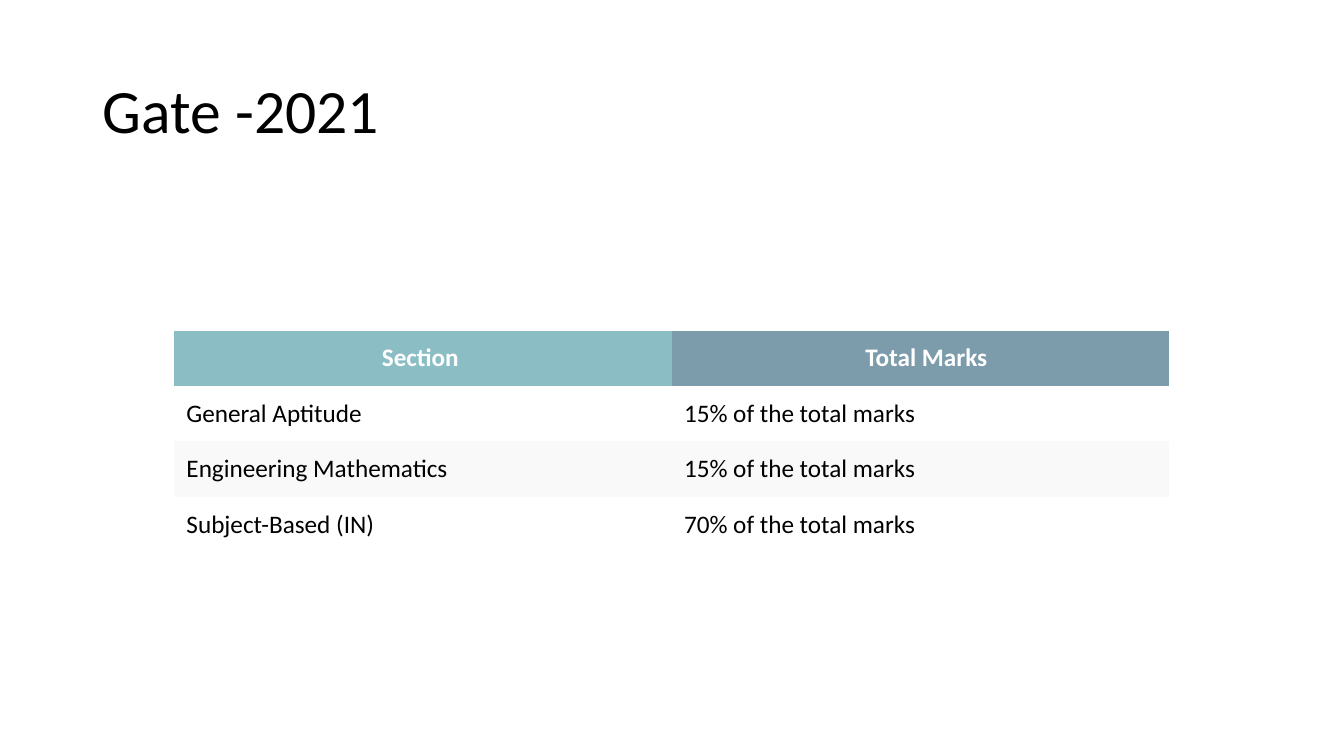
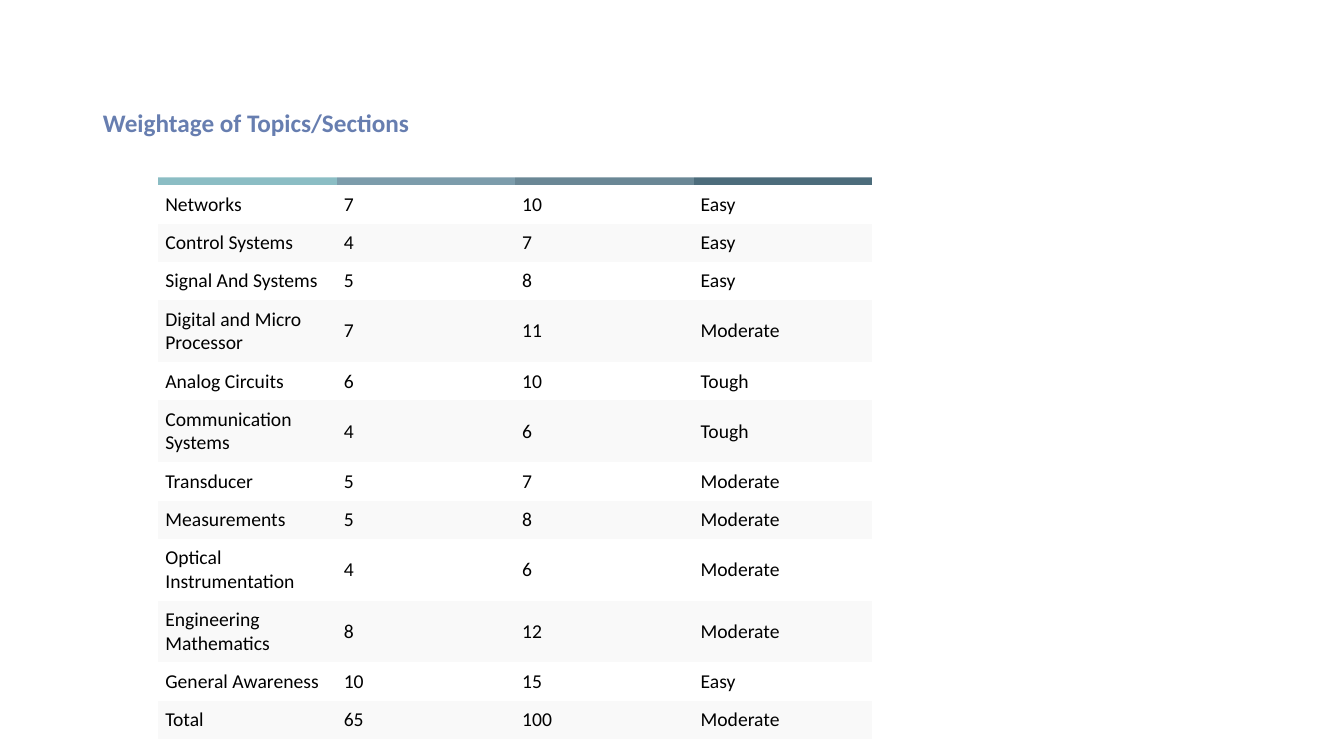
from pptx import Presentation
from pptx.dml.color import RGBColor
from pptx.enum.text import MSO_ANCHOR, MSO_AUTO_SIZE, PP_ALIGN
from pptx.oxml.ns import qn
from pptx.util import Inches, Pt

# Shared style
FONT = "Calibri"
WHITE, BLACK, BAND, HEADING = "FFFFFF", "000000", "F9F9F9", "677EB0"
HEADER_FILLS = ["8BBDC4", "7C9CAB", "6A8795", "4C6C7B"]
PLAIN_TABLE_STYLE = "{2D5ABB26-0587-4C30-8999-92F81FD0307C}"
TITLE_LEFT = 0.92

# Content
SECTION_MARKS = [
    ("Section\u00a0", "\u00a0 Total Marks"),
    ("General Aptitude", "15% of the total marks"),
    ("Engineering Mathematics", "15% of the total marks"),
    ("Subject-Based (IN)", "70% of the total marks"),
]
TOPIC_WEIGHTS = [
    ("",) * 4,  # colour strip without labels
    ("Networks", "7", "10", "Easy"),
    ("Control Systems", "4", "7", "Easy"),
    ("Signal And Systems", "5", "8", "Easy"),
    ("Digital and Micro Processor", "7", "11", "Moderate"),
    ("Analog Circuits", "6", "10", "Tough"),
    ("Communication Systems", "4", "6", "Tough"),
    ("Transducer", "5", "7", "Moderate"),
    ("Measurements", "5", "8", "Moderate"),
    ("Optical Instrumentation", "4", "6", "Moderate"),
    ("Engineering Mathematics", "8", "12", "Moderate"),
    ("General Awareness", "10", "15", "Easy"),
    ("Total", "65", "100", "Moderate"),
]


def rgb(color):
    return RGBColor.from_string(color)


def fill_with(target, color):
    target.fill.solid()
    target.fill.fore_color.rgb = rgb(color)


def format_text(paragraph, size, color, bold=False, align=PP_ALIGN.LEFT):
    paragraph.alignment = align
    for run in paragraph.runs:
        run.font.name = FONT
        run.font.size = Pt(size)
        run.font.bold = bold
        run.font.color.rgb = rgb(color)


def place_title(slide, box, text, size, color, bold=False, spacing=1.0):
    """Place the title in front of the table and return it."""
    title = slide.shapes.title
    title.left, title.top, title.width, title.height = map(Inches, box)
    frame = title.text_frame
    frame.text = text
    frame.word_wrap = True
    frame.auto_size = MSO_AUTO_SIZE.NONE
    frame.vertical_anchor = MSO_ANCHOR.MIDDLE
    frame.paragraphs[0].line_spacing = spacing
    format_text(frame.paragraphs[0], size, color, bold)
    slide.shapes._spTree.append(title._element)
    return title


def add_banded_table(slide, box, rows, heights, size, inset):
    """Table with one header colour per column and every second row tinted."""
    table = slide.shapes.add_table(len(rows), len(rows[0]), *map(Inches, box)).table
    table.horz_banding = False
    table._tbl.tblPr.find(qn("a:tableStyleId")).text = PLAIN_TABLE_STYLE
    for r, (values, height) in enumerate(zip(rows, heights)):
        table.rows[r].height = Inches(height)
        for c, value in enumerate(values):
            cell = table.cell(r, c)
            cell.text = value
            cell.margin_left = cell.margin_right = Inches(inset)
            # Unlabelled cells need no padding, so the row keeps its height
            cell.margin_top = cell.margin_bottom = Inches(inset if value else 0)
            paragraph = cell.text_frame.paragraphs[0]
            if r == 0:
                fill_with(cell, HEADER_FILLS[c])
                cell.vertical_anchor = MSO_ANCHOR.TOP
                format_text(paragraph, size, WHITE, True, PP_ALIGN.CENTER)
            else:
                fill_with(cell, WHITE if r % 2 else BAND)
                cell.vertical_anchor = MSO_ANCHOR.MIDDLE
                format_text(paragraph, size, BLACK)


def build_section_marks(slide):
    heights = [0.55] * len(SECTION_MARKS)
    add_banded_table(slide, (1.73, 3.28, 9.87, sum(heights)), SECTION_MARKS,
                     heights, size=18, inset=0.12)
    place_title(slide, (TITLE_LEFT, 0.4, 11.5, 1.45), "Gate -2021", 44, BLACK,
                spacing=0.9)


def build_topic_weights(slide):
    # Long topic names take two lines
    heights = [0.61 if len(topic) > 18 else 0.38 for topic, *_ in TOPIC_WEIGHTS]
    add_banded_table(slide, (1.57, 1.46, 7.08, sum(heights)), TOPIC_WEIGHTS,
                     heights, size=14, inset=0.07)
    # The white title band overlaps the colour strip
    title = place_title(slide, (TITLE_LEFT, 0.86, 12.41, 0.9),
                        "Weightage of Topics/Sections", 18, HEADING, bold=True)
    fill_with(title, WHITE)
    title.text_frame.vertical_anchor = MSO_ANCHOR.TOP
    title.text_frame.margin_top = Inches(0.2)


deck = Presentation()
deck.slide_width, deck.slide_height = Inches(13.33), Inches(7.5)
title_only = deck.slide_layouts[5]
for build in (build_section_marks, build_topic_weights):
    build(deck.slides.add_slide(title_only))
deck.save("out.pptx")
